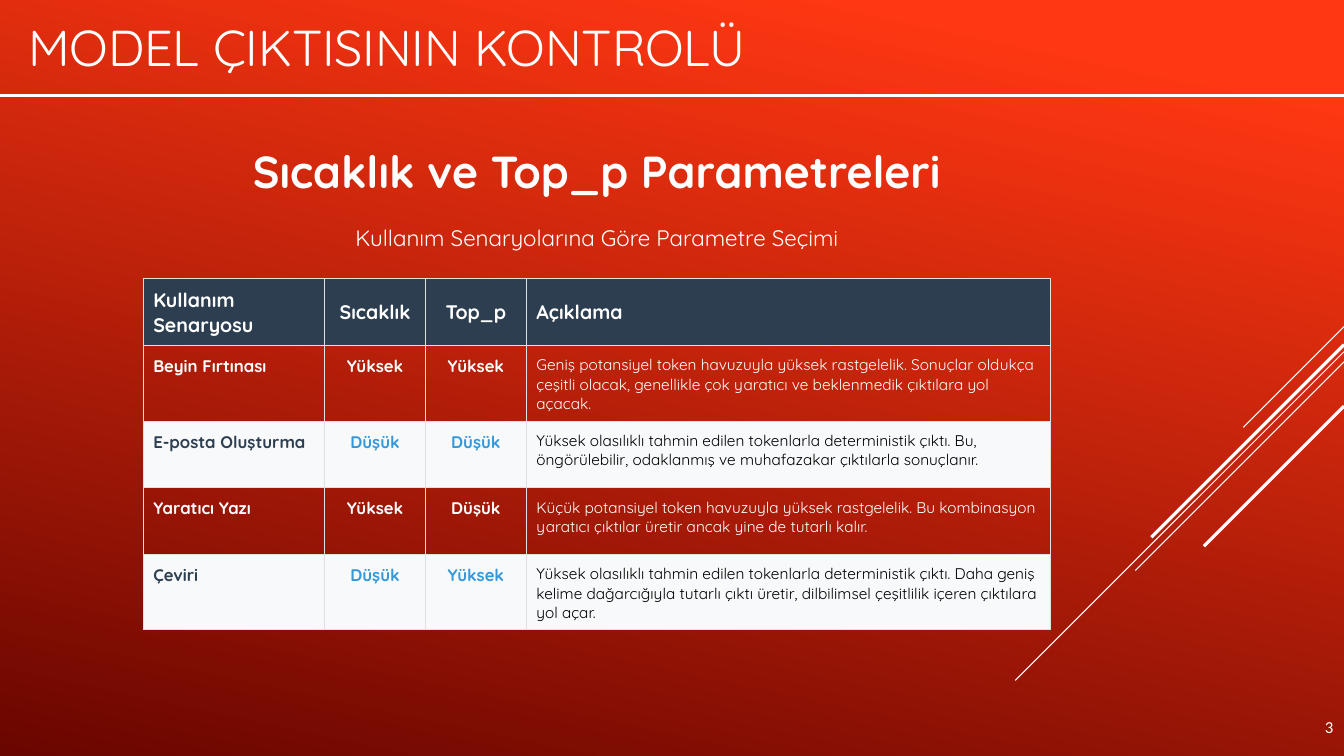
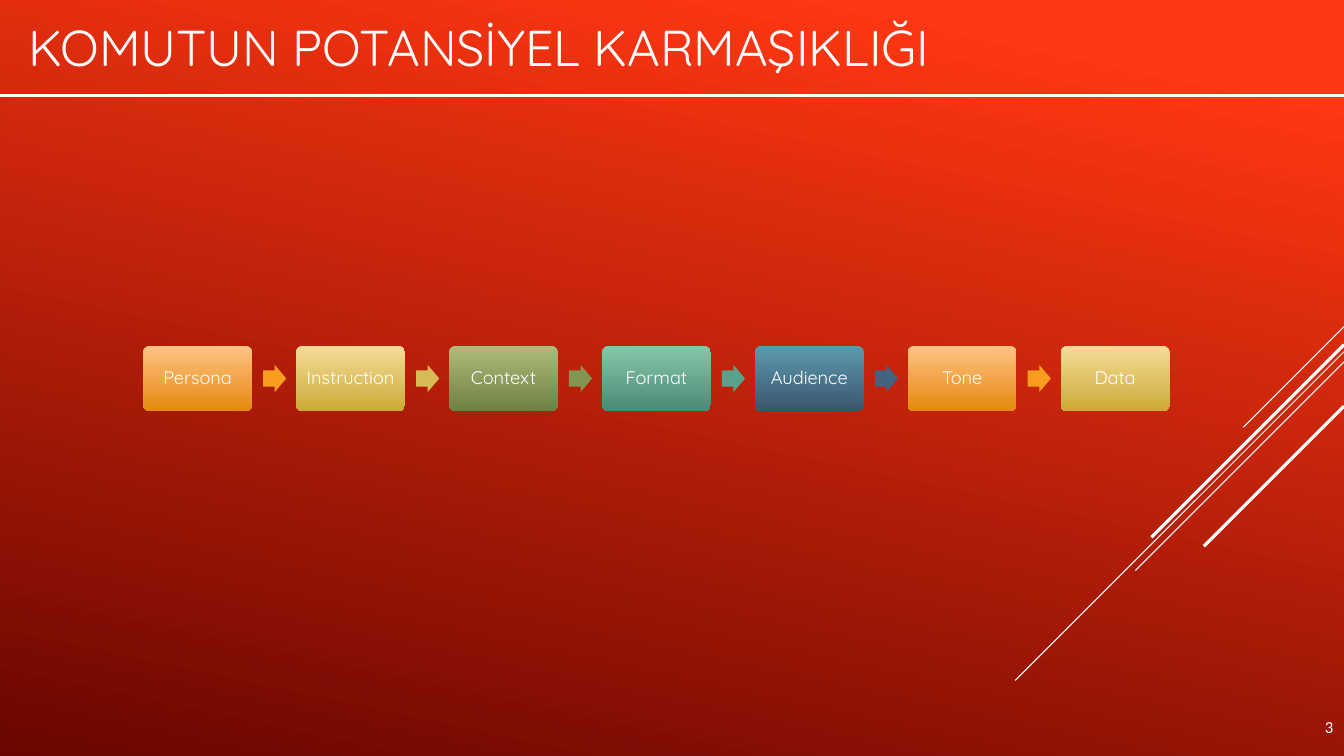
import itertools
from typing import NamedTuple, Optional

import pptx
import pptx.dml.color
import pptx.dml.fill
import pptx.enum.shapes
import pptx.enum.text
import pptx.oxml
import pptx.oxml.ns
import pptx.slide
import pptx.table
import pptx.text.text
import pptx.util

Inches = pptx.util.Inches
Pt = pptx.util.Pt
RGBColor = pptx.dml.color.RGBColor
Align = pptx.enum.text.PP_ALIGN
Anchor = pptx.enum.text.MSO_ANCHOR
ShapeType = pptx.enum.shapes.MSO_SHAPE

# Shared look
SLIDE_WIDTH, SLIDE_HEIGHT = 13.33, 7.5
FONT, NUMBER_FONT = "Quicksand", "Calibri"
WHITE = RGBColor(0xFF, 0xFF, 0xFF)
BLACK = RGBColor(0x00, 0x00, 0x00)
BRIGHT_RED = RGBColor(0xFF, 0x37, 0x12)
DARK_RED = RGBColor(0x6A, 0x06, 0x00)
NAVY = RGBColor(0x2C, 0x3E, 0x50)
PALE = RGBColor(0xF8, 0xF9, 0xFA)
BLUE = RGBColor(0x34, 0x98, 0xDB)
BORDER = RGBColor(0xE0, 0xE0, 0xE0)


class Diagonal(NamedTuple):
    """A 45-degree line running down and left from the right edge."""
    top: float
    reach: float
    weight: float


class TextStyle(NamedTuple):
    size: float
    color: RGBColor = WHITE
    bold: bool = False
    font: str = FONT
    align: Align = Align.LEFT
    spacing: int = 0  # hundredths of a point


class Scenario(NamedTuple):
    name: str
    temperature: str
    top_p: str
    description: str


class StepColors(NamedTuple):
    top: RGBColor
    bottom: RGBColor
    arrow: RGBColor


DIAGONALS = [
    Diagonal(3.24, 1.0, 0.75),
    Diagonal(3.49, 3.26, 0.75),
    Diagonal(3.59, 2.07, 0.75),
    Diagonal(3.42, 1.91, 2.25),
    Diagonal(4.03, 1.39, 2.25),
]
TITLE = TextStyle(36, spacing=-10)
NUMBER = TextStyle(12, font=NUMBER_FONT)
HEADING = TextStyle(32, bold=True, align=Align.CENTER)
SUBHEADING = TextStyle(16, align=Align.CENTER)
STEP = TextStyle(13, align=Align.CENTER)

# Parameter table
CONTENT_LEFT, CONTENT_WIDTH = 1.42, 9
TABLE_TOP, ROW_HEIGHT, CELL_MARGIN = 2.76, 0.66, 0.1
COLUMN_WIDTHS = [1.8, 1, 1, 5.2]
COLUMN_ALIGNS = [Align.LEFT, Align.CENTER, Align.CENTER, Align.LEFT]
HEADER = Scenario("Kullanım Senaryosu", "Sıcaklık", "Top_p", "Açıklama")
SCENARIOS = [
    Scenario("Beyin Fırtınası", "Yüksek", "Yüksek",
             "Geniş potansiyel token havuzuyla yüksek rastgelelik. Sonuçlar oldukça "
             "çeşitli olacak, genellikle çok yaratıcı ve beklenmedik çıktılara yol açacak."),
    Scenario("E-posta Oluşturma", "Düşük", "Düşük",
             "Yüksek olasılıklı tahmin edilen tokenlarla deterministik çıktı. Bu, "
             "öngörülebilir, odaklanmış ve muhafazakar çıktılarla sonuçlanır."),
    Scenario("Yaratıcı Yazı", "Yüksek", "Düşük",
             "Küçük potansiyel token havuzuyla yüksek rastgelelik. Bu kombinasyon "
             "yaratıcı çıktılar üretir ancak yine de tutarlı kalır."),
    Scenario("Çeviri", "Düşük", "Yüksek",
             "Yüksek olasılıklı tahmin edilen tokenlarla deterministik çıktı. Daha geniş "
             "kelime dağarcığıyla tutarlı çıktı üretir, dilbilimsel çeşitlilik içeren "
             "çıktılara yol açar."),
]

# Prompt component chain
STEPS = ["Persona", "Instruction", "Context", "Format", "Audience", "Tone", "Data"]
STEP_COLORS = [
    StepColors(RGBColor(0xFF, 0xC3, 0x86), RGBColor(0xE5, 0x88, 0x0C), RGBColor(0xFA, 0x9C, 0x1F)),
    StepColors(RGBColor(0xF5, 0xDB, 0x99), RGBColor(0xCC, 0xAA, 0x37), RGBColor(0xD9, 0xBB, 0x55)),
    StepColors(RGBColor(0xAE, 0xBC, 0x79), RGBColor(0x6F, 0x80, 0x45), RGBColor(0x82, 0x95, 0x51)),
    StepColors(RGBColor(0x87, 0xC6, 0xA8), RGBColor(0x4B, 0x8B, 0x77), RGBColor(0x58, 0xA2, 0x8B)),
    StepColors(RGBColor(0x5C, 0x9A, 0xAF), RGBColor(0x39, 0x56, 0x6E), RGBColor(0x42, 0x64, 0x80)),
]
STEP_TOP, STEP_WIDTH, STEP_HEIGHT = 3.43, 1.08, 0.65
STEP_PITCH = (10.52 - CONTENT_LEFT) / (len(STEPS) - 1)
ARROW_OFFSET, ARROW_WIDTH, ARROW_HEIGHT = 1.19, 0.23, 0.27


def set_gradient(fill: pptx.dml.fill.FillFormat, start: RGBColor, end: RGBColor,
                 angle: float, start_position: float = 0) -> None:
    """Fill with two colours; the angle is clockwise from the right."""
    fill.gradient()
    fill.gradient_angle = 360 - angle
    first, last = fill.gradient_stops
    first.color.rgb, first.position = start, start_position
    last.color.rgb, last.position = end, 1


def write(frame: pptx.text.text.TextFrame, text: str,
          style: TextStyle) -> pptx.text.text._Paragraph:
    paragraph = frame.paragraphs[0]
    paragraph.alignment = style.align
    run = paragraph.add_run()
    run.text = text
    run.font.name = style.font
    run.font.size = Pt(style.size)
    run.font.bold = style.bold
    run.font.color.rgb = style.color
    if style.spacing:
        run._r.get_or_add_rPr().set("spc", str(style.spacing))
    return paragraph


def set_margins(frame: pptx.text.text.TextFrame, margin: float) -> None:
    frame.margin_left = frame.margin_right = Inches(margin)
    frame.margin_top = frame.margin_bottom = Inches(margin)


def add_text(slide: pptx.slide.Slide, text: str, style: TextStyle, left: float, top: float,
             width: float, height: float, anchor: Anchor = Anchor.MIDDLE) -> None:
    box = slide.shapes.add_textbox(Inches(left), Inches(top), Inches(width), Inches(height))
    frame = box.text_frame
    frame.word_wrap = True
    frame.vertical_anchor = anchor
    set_margins(frame, 0)
    write(frame, text, style)


def add_line(slide: pptx.slide.Slide, x1: float, y1: float, x2: float, y2: float,
             weight: float) -> None:
    line = slide.shapes.add_connector(pptx.enum.shapes.MSO_CONNECTOR.STRAIGHT,
                                      Inches(x1), Inches(y1), Inches(x2), Inches(y2))
    line.line.color.rgb = WHITE
    line.line.width = Pt(weight)
    properties = line._element.spPr
    properties.append(properties.makeelement(pptx.oxml.ns.qn("a:effectLst"), {}))


def add_base_slide(presentation: pptx.presentation.Presentation,
                   title: str) -> pptx.slide.Slide:
    """Add a slide with the background, diagonals, title, number and rule."""
    slide = presentation.slides.add_slide(presentation.slide_layouts[6])
    set_gradient(slide.background.fill, BRIGHT_RED, DARK_RED, 102, 0.1)
    for diagonal in DIAGONALS:
        add_line(slide, SLIDE_WIDTH, diagonal.top, SLIDE_WIDTH - diagonal.reach,
                 diagonal.top + diagonal.reach, diagonal.weight)
    add_text(slide, title, TITLE, 0.28, 0.15, 12.78, 0.62)
    add_text(slide, "3", NUMBER, 13.14, 7.11, 0.11, 0.23, Anchor.TOP)
    add_line(slide, 0, 0.95, SLIDE_WIDTH, 0.95, 2)
    return slide


def add_borders(cell: pptx.table._Cell) -> None:
    properties = cell._tc.get_or_add_tcPr()
    for side in ("lnL", "lnR", "lnT", "lnB"):
        properties.append(pptx.oxml.parse_xml(
            f'<a:{side} {pptx.oxml.ns.nsdecls("a")} w="{Pt(1)}"><a:solidFill>'
            f'<a:srgbClr val="{BORDER}"/></a:solidFill></a:{side}>'))


def fill_row(table: pptx.table.Table, row: int, scenario: Scenario,
             styles: list[TextStyle], fill: Optional[RGBColor], anchor: Anchor) -> None:
    for column, (text, style) in enumerate(zip(scenario, styles)):
        cell = table.cell(row, column)
        add_borders(cell)
        if fill is None:
            cell.fill.background()
        else:
            cell.fill.solid()
            cell.fill.fore_color.rgb = fill
        cell.vertical_anchor = anchor
        cell.margin_left = cell.margin_right = Inches(CELL_MARGIN)
        cell.margin_top = cell.margin_bottom = Inches(CELL_MARGIN)
        write(cell.text_frame, text, style._replace(align=COLUMN_ALIGNS[column]))


def add_scenario_table(slide: pptx.slide.Slide) -> None:
    row_count = len(SCENARIOS) + 1
    table = slide.shapes.add_table(
        row_count, len(COLUMN_WIDTHS), Inches(CONTENT_LEFT), Inches(TABLE_TOP),
        Inches(CONTENT_WIDTH), Inches(ROW_HEIGHT * row_count)).table
    table.first_row = table.horz_banding = False
    for column, width in zip(table.columns, COLUMN_WIDTHS):
        column.width = Inches(width)
    for row in table.rows:
        row.height = Inches(ROW_HEIGHT)

    header_styles = [TextStyle(14, bold=True)] * len(COLUMN_WIDTHS)
    fill_row(table, 0, HEADER, header_styles, NAVY, Anchor.MIDDLE)
    for row, scenario in enumerate(SCENARIOS, start=1):
        pale = row % 2 == 0
        level = TextStyle(12, BLUE if pale else WHITE, bold=True)
        name = level._replace(color=NAVY if pale else WHITE)
        description = TextStyle(11, BLACK if pale else WHITE)
        fill_row(table, row, scenario, [name, level, level, description],
                 PALE if pale else None, Anchor.TOP)


def add_step(slide: pptx.slide.Slide, text: str, left: float, colors: StepColors) -> None:
    card = slide.shapes.add_shape(ShapeType.ROUNDED_RECTANGLE, Inches(left), Inches(STEP_TOP),
                                  Inches(STEP_WIDTH), Inches(STEP_HEIGHT))
    card.adjustments[0] = 0.1
    card.shadow.inherit = False
    card.line.fill.background()
    set_gradient(card.fill, colors.top, colors.bottom, 90)
    frame = card.text_frame
    frame.word_wrap = True
    frame.vertical_anchor = Anchor.MIDDLE
    set_margins(frame, 0.07)
    write(frame, text, STEP).line_spacing = 0.9


def add_step_arrow(slide: pptx.slide.Slide, left: float, color: RGBColor) -> None:
    top = STEP_TOP + (STEP_HEIGHT - ARROW_HEIGHT) / 2
    arrow = slide.shapes.add_shape(ShapeType.RIGHT_ARROW, Inches(left), Inches(top),
                                   Inches(ARROW_WIDTH), Inches(ARROW_HEIGHT))
    arrow.adjustments[0], arrow.adjustments[1] = 0.6, 0.5
    arrow.shadow.inherit = False
    arrow.line.fill.background()
    arrow.fill.solid()
    arrow.fill.fore_color.rgb = color


def build_parameter_slide(presentation: pptx.presentation.Presentation) -> None:
    slide = add_base_slide(presentation, "MODEL ÇIKTISININ KONTROLÜ")
    add_text(slide, "Sıcaklık ve Top_p Parametreleri", HEADING,
             CONTENT_LEFT, 1.39, CONTENT_WIDTH, 0.6)
    add_text(slide, "Kullanım Senaryolarına Göre Parametre Seçimi", SUBHEADING,
             CONTENT_LEFT, 2.16, CONTENT_WIDTH, 0.4)
    add_scenario_table(slide)


def build_complexity_slide(presentation: pptx.presentation.Presentation) -> None:
    slide = add_base_slide(presentation, "KOMUTUN POTANSİYEL KARMAŞIKLIĞI")
    for index, (text, colors) in enumerate(zip(STEPS, itertools.cycle(STEP_COLORS))):
        left = CONTENT_LEFT + index * STEP_PITCH
        add_step(slide, text, left, colors)
        if index < len(STEPS) - 1:
            add_step_arrow(slide, left + ARROW_OFFSET, colors.arrow)


def main() -> None:
    presentation = pptx.Presentation()
    presentation.slide_width = Inches(SLIDE_WIDTH)
    presentation.slide_height = Inches(SLIDE_HEIGHT)
    build_parameter_slide(presentation)
    build_complexity_slide(presentation)
    presentation.save("out.pptx")


if __name__ == "__main__":
    main()
